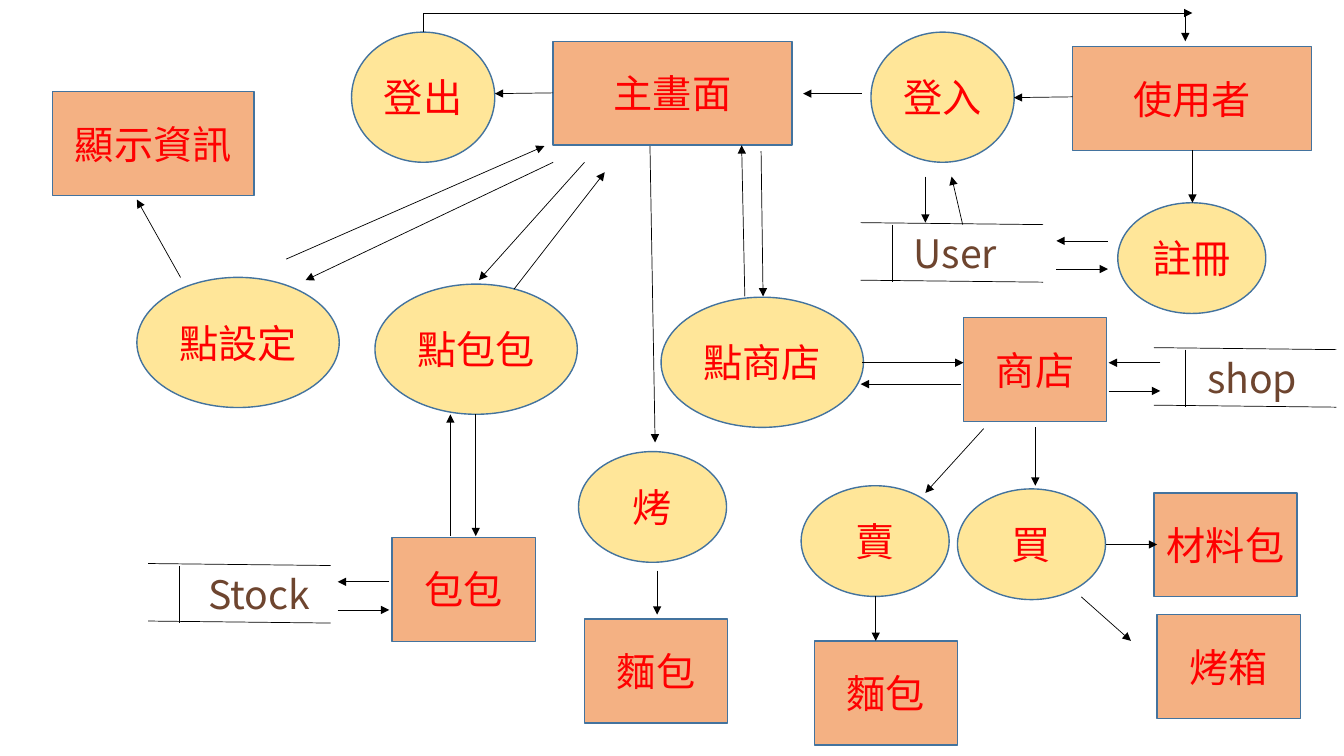
from lxml import etree
from pptx import Presentation
from pptx.dml.color import RGBColor
from pptx.enum.shapes import MSO_CONNECTOR, MSO_SHAPE
from pptx.enum.text import MSO_ANCHOR, PP_ALIGN
from pptx.oxml.ns import qn
from pptx.util import Cm, Pt

RECT, OVAL = MSO_SHAPE.RECTANGLE, MSO_SHAPE.OVAL
LINE, ELBOW = MSO_CONNECTOR.STRAIGHT, MSO_CONNECTOR.ELBOW
LEFT, CENTER = PP_ALIGN.LEFT, PP_ALIGN.CENTER
TOP, MIDDLE = MSO_ANCHOR.TOP, MSO_ANCHOR.MIDDLE

COLORS = {"box": "F4B183", "oval": "FFE699", "edge": "43739E",
          "label": "FF0000", "store": "6E452F", "line": "000000"}

# Kind of node: shape, fill, width, height
KINDS = {
    "wide": (RECT, "box", 6.02, 2.62),
    "info": (RECT, "box", 5.08, 2.62),
    "box": (RECT, "box", 3.61, 2.62),
    "sign": (OVAL, "oval", 3.61, 3.28),
    "click": (OVAL, "oval", 5.1, 3.28),
    "deed": (OVAL, "oval", 3.73, 2.79),
}


def rgb(name):
    return RGBColor.from_string(COLORS[name])


def write(shape, text, font="Roboto", color="label", align=CENTER,
          anchor=MIDDLE, wrap=True):
    frame = shape.text_frame
    frame.word_wrap = wrap
    frame.vertical_anchor = anchor
    para = frame.paragraphs[0]
    para.alignment = align
    run = para.add_run()
    run.text = text
    run.font.size = Pt(28)
    run.font.name = font
    run.font.color.rgb = rgb(color)


def link(slide, box, x1, y1, x2, y2, tip=True, kind=LINE):
    left, top = box
    line = slide.shapes.add_connector(
        kind, Cm(left + x1), Cm(top + y1), Cm(left + x2), Cm(top + y2))
    line.line.width = Pt(0.5)
    line.line.color.rgb = rgb("line")
    props = line._element.spPr
    if tip:
        etree.SubElement(props.find(qn("a:ln")), qn("a:tailEnd"), type="triangle")
    etree.SubElement(props, qn("a:effectLst"))
    return line


def node(slide, box, kind, text, x, y):
    form, fill, wide, tall = KINDS[kind]
    shape = slide.shapes.add_shape(
        form, Cm(box[0] + x), Cm(box[1] + y), Cm(wide), Cm(tall))
    shape.shadow.inherit = False
    shape.fill.solid()
    shape.fill.fore_color.rgb = rgb(fill)
    shape.line.color.rgb = rgb("edge")
    shape.line.width = Pt(1)
    write(shape, text)


def fill(slide, box, nodes, links):
    """Place the nodes and arrows of one region."""
    for item in nodes:
        node(slide, box, *item)
    for ends in links:
        link(slide, box, *ends)


def store(slide, box, text, wide, inset=1.09):
    """Draw an open data store: two rails, a bar and a label."""
    rail, tall, bar, slope = 4.6, 1.45, 0.79, 0.05
    for y in (0, tall):
        link(slide, box, 0, y, rail, y + slope, tip=False)
    link(slide, box, bar, slope, bar, tall + slope, tip=False)
    label = slide.shapes.add_textbox(
        Cm(box[0] + inset), Cm(box[1] + slope), Cm(wide), Cm(tall))
    write(label, text, font="Noto Sans CJK JP", color="store",
          align=LEFT, anchor=TOP, wrap=False)


def swap(slide, box):
    """Draw a pair of arrows, left above right."""
    wide, gap = 1.3, 0.71
    link(slide, box, wide, 0, 0, 0)
    link(slide, box, 0, gap, wide, gap)


def loop(slide, box, wide, tall):
    """Draw an arrow that rises at the left and then runs right."""
    # A quarter turn makes the elbow rise first, so its sides are exchanged.
    mid, half = wide / 2, tall / 2
    line = link(slide, box, mid + half, half + mid, mid - half, half - mid,
                kind=ELBOW)
    props = line._element.spPr
    props.find(qn("a:xfrm")).set("rot", str(90 * 60000))
    props.find(qn("a:prstGeom")).set("prst", "bentConnector2")


def account(slide, box):
    left, top = box
    fill(slide, box,
         [("wide", "使用者", 7.03, 1.17),
          ("deed", "註冊", 8.17, 5.11),
          ("sign", "登入", 1.95, 0.81)],
         [(10.05, 3.78, 10.05, 5.11),
          (7.03, 2.44, 5.55, 2.46),
          (3.32, 4.45, 3.32, 5.61),
          (4.26, 5.66, 3.98, 4.45),
          (1.72, 2.36, 0.24, 2.36),
          (9.87, 0.33, 9.87, 1.04)])
    store(slide, (left + 1.69, top + 5.61), "User", 2.92)
    swap(slide, (left + 6.62, top + 6.07))


def home(slide, box):
    left, top = box
    fill(slide, box,
         [("wide", "主畫面", 5.94, 1.04),
          ("sign", "登出", 0.86, 0.81)],
         [(5.94, 2.34, 4.47, 2.36)])
    loop(slide, (left + 2.67, top + 0.33), 19.38, 0.48)


def setup(slide, box):
    fill(slide, box,
         [("click", "點設定", 2.45, 4.99),
          ("info", "顯示資訊", 0.32, 0.31)],
         [(3.55, 4.99, 2.45, 3.03),
          (12.94, 2.09, 6.7, 5.06),
          (6.21, 4.53, 12.72, 1.68)])


def bag(slide, box):
    left, top = box
    fill(slide, box,
         [("click", "點包包", 6.45, 3.16),
          ("box", "包包", 6.88, 9.54)],
         [(11.73, 0.09, 9.07, 3.06),
          (9.95, 3.29, 12.24, 0.34),
          (8.99, 6.44, 8.99, 9.51),
          (8.35, 9.51, 8.35, 6.44)])
    store(slide, (left + 0.73, top + 10.2), "Stock", 3.66, inset=1.27)
    swap(slide, (left + 5.51, top + 10.66))


def bake(slide, box):
    fill(slide, box,
         [("deed", "烤", 0.58, 8.38),
          ("box", "麵包", 0.73, 12.6)],
         [(2.38, 0.68, 2.51, 8.15),
          (2.56, 11.38, 2.56, 12.49)])


def shop(slide, box):
    left, top = box
    fill(slide, box,
         [("click", "點商店", 0.66, 4.49),
          ("box", "商店", 8.28, 5),
          ("deed", "買", 8.13, 9.32),
          ("box", "材料包", 13.08, 9.42),
          ("box", "烤箱", 13.16, 12.49),
          ("deed", "賣", 4.19, 9.24),
          ("box", "麵包", 4.52, 13.15)],
         [(3.18, 0.81, 3.23, 4.47),
          (2.77, 4.47, 2.69, 0.66),
          (5.72, 6.14, 8.28, 6.14),
          (8.21, 6.68, 5.69, 6.68),
          (10.09, 7.77, 10.09, 9.24),
          (11.86, 10.72, 13.16, 10.72),
          (11.25, 12.04, 12.5, 13.15),
          (8.79, 7.8, 7.32, 9.42),
          (6.07, 12.01, 6.07, 13.15)])
    store(slide, (left + 13.08, top + 5.76), "shop", 3)
    swap(slide, (left + 11.94, top + 6.14))


def main():
    deck = Presentation()
    deck.slide_width, deck.slide_height = Cm(33.87), Cm(19.05)
    slide = deck.slides.add_slide(deck.slide_layouts[6])
    account(slide, (20, 0))
    home(slide, (8, 0))
    setup(slide, (1, 2))
    bag(slide, (3, 4))
    bake(slide, (14, 3))
    shop(slide, (16, 3))
    deck.save("out.pptx")


if __name__ == "__main__":
    main()
